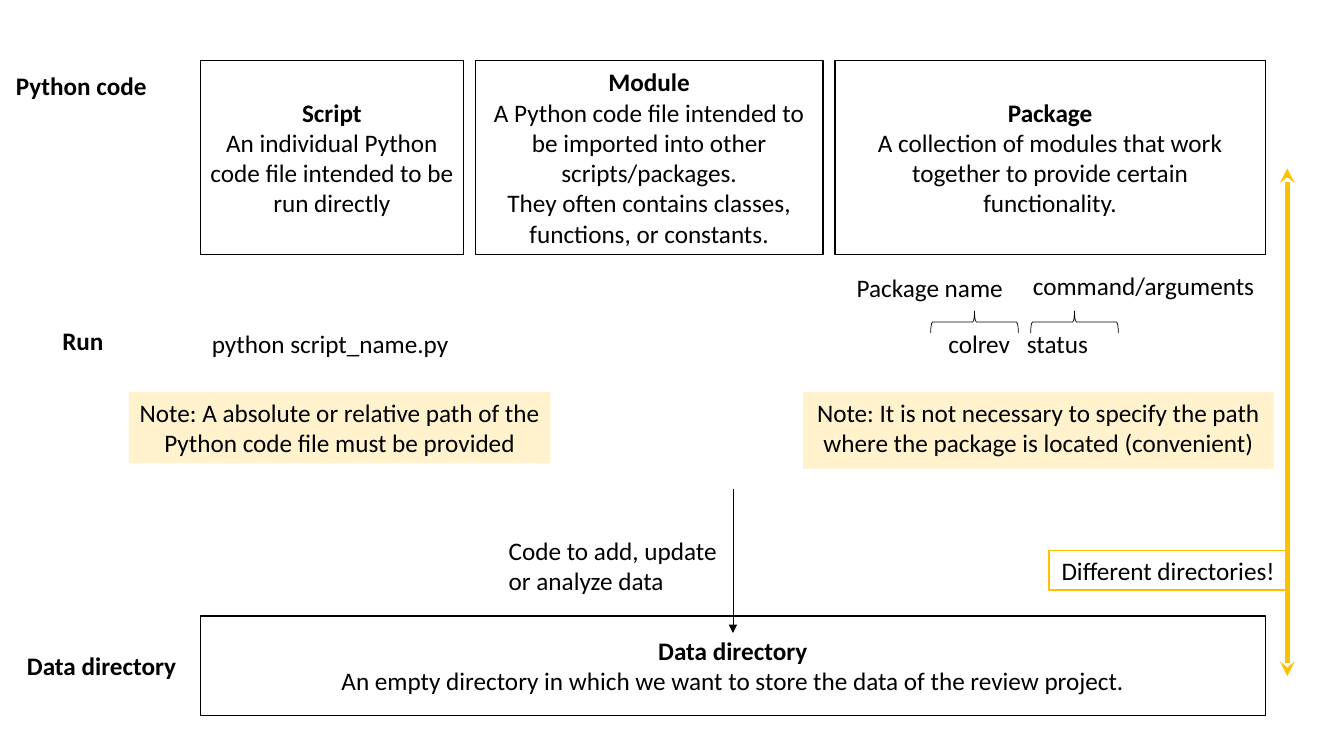
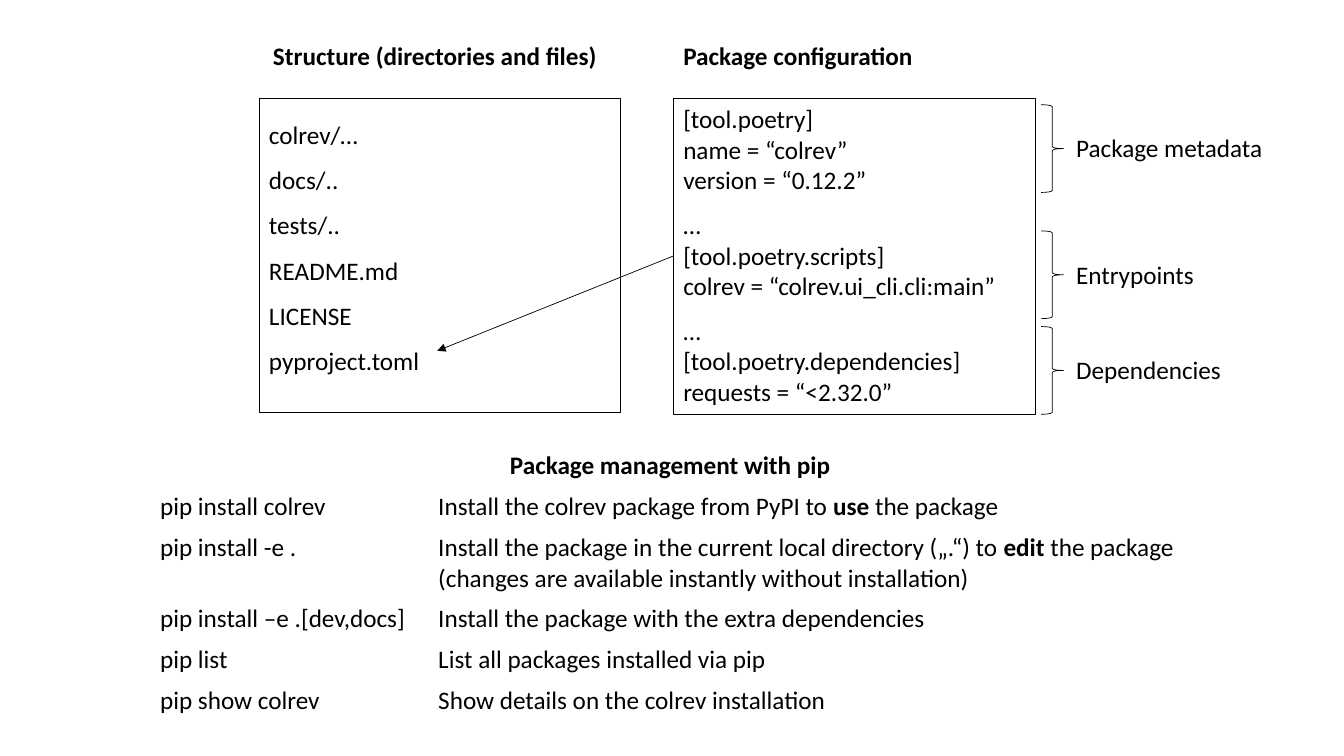
from lxml import etree
from pptx import Presentation
from pptx.dml.color import RGBColor
from pptx.enum import shapes, text
from pptx.oxml import ns
from pptx.util import Cm, Pt

# Shared look
FONT, SIZE = "Calibri", 18
BLACK, WHITE, CREAM, AMBER = "000000", "FFFFFF", "FFF2CC", "FFC000"
LEFT, CENTER = text.PP_ALIGN.LEFT, text.PP_ALIGN.CENTER
TOP, MIDDLE = text.MSO_ANCHOR.TOP, text.MSO_ANCHOR.MIDDLE
BRACE_DEPTH, BRACE_SPAN = 0.56, 2.21


def rgb(color):
    return RGBColor.from_string(color)


def write(frame, lines, align=LEFT, spacing=None):
    """Write one paragraph per line; words between bars are bold."""
    frame.word_wrap = True
    for number, line in enumerate(lines):
        paragraph = frame.paragraphs[0] if number == 0 else frame.add_paragraph()
        paragraph.alignment = align
        if spacing:
            paragraph.line_spacing = spacing(line)
        font = paragraph.font
        font.name, font.size, font.color.rgb = FONT, Pt(SIZE), rgb(BLACK)
        for position, words in enumerate(line.split("|")):
            if words:
                run = paragraph.add_run()
                run.text = words
                if position % 2:
                    run.font.bold = True


def add_label(slide, left, top, width, words, align=LEFT):
    label = slide.shapes.add_textbox(Cm(left), Cm(top), Cm(width), Cm(1.03))
    write(label.text_frame, [words], align)


def add_outline(slide, preset, left, top, width, height, fill, line, weight):
    outline = slide.shapes.add_shape(preset, Cm(left), Cm(top), Cm(width), Cm(height))
    outline.shadow.inherit = False
    if fill:
        outline.fill.solid()
        outline.fill.fore_color.rgb = rgb(fill)
    else:
        outline.fill.background()
    if line:
        outline.line.color.rgb = rgb(line)
        outline.line.width = Pt(weight)
    else:
        outline.line.fill.background()
    return outline


def add_box(slide, left, top, width, height, lines, fill=WHITE, line=BLACK,
            weight=1, align=CENTER, anchor=MIDDLE, spacing=None):
    box = add_outline(slide, shapes.MSO_SHAPE.RECTANGLE, left, top, width, height,
                      fill, line, weight)
    box.text_frame.vertical_anchor = anchor
    write(box.text_frame, lines, align, spacing)


def add_note(slide, left, width, height, words):
    add_box(slide, left, 9.88, width, height, [words], CREAM, None, anchor=TOP)


def add_brace(slide, left, top, rotation=0):
    brace = add_outline(slide, shapes.MSO_SHAPE.RIGHT_BRACE, left, top,
                        BRACE_DEPTH, BRACE_SPAN, None, BLACK, 0.5)
    brace.rotation = rotation


def add_arrow(slide, start, end, color=BLACK, weight=0.5, **heads):
    arrow = slide.shapes.add_connector(
        shapes.MSO_CONNECTOR.STRAIGHT, *(Cm(value) for value in start + end))
    arrow.line.color.rgb = rgb(color)
    arrow.line.width = Pt(weight)
    properties = arrow.line._get_or_add_ln()
    for tag in ("headEnd", "tailEnd"):
        if tag in heads:
            etree.SubElement(properties, ns.qn("a:" + tag), type=heads[tag])
    etree.SubElement(arrow._element.spPr, ns.qn("a:effectLst"))


def add_commands(slide, left, top, widths, row_height, rows):
    table = slide.shapes.add_table(len(rows), len(widths), Cm(left), Cm(top),
                                   Cm(sum(widths)), Cm(row_height * len(rows))).table
    table.first_row = table.horz_banding = False
    for column, width in zip(table.columns, widths):
        column.width = Cm(width)
    for row, entries in zip(table.rows, rows):
        for cell, entry in zip(row.cells, entries):
            cell.fill.background()
            write(cell.text_frame, [entry])


def build_code_overview(slide):
    # Kinds of Python code
    start, gap = 5.05, 0.3
    kinds = [
        (6.63, ["|Script|", "An individual Python code file intended to be run directly"]),
        (8.76, ["|Module|",
                "A Python code file intended to be imported into other scripts/packages.",
                "They often contains classes, functions, or constants."]),
        (10.85, ["|Package|", "A collection of modules that work together to provide "
                              "certain functionality."]),
    ]
    left = start
    for width, lines in kinds:
        add_box(slide, left, 1.52, width, 4.9, lines)
        left += width + gap
    full_width = left - gap - start

    # Row headings
    add_label(slide, 0.15, 1.65, 6, "|Python code|")
    add_label(slide, 1.32, 8.08, 1.88, "|Run|")
    add_label(slide, 0.43, 16.26, 4.42, "|Data directory|")

    # How to run them
    add_label(slide, 5.03, 8.15, 6.58, "python script_name.py", CENTER)
    add_label(slide, 23.65, 8.15, 2.2, "colrev")
    add_label(slide, 25.63, 8.15, 3, "status")
    for brace_left in (24.28, 26.8):
        add_brace(slide, brace_left, 7.01, 270)
    add_label(slide, 21.34, 6.73, 4.5, "Package name")
    add_label(slide, 25.78, 6.68, 6.58, "command/arguments")
    add_note(slide, 3.25, 10.62, 1.8, "Note: A absolute or relative path of the "
                                      "Python code file must be provided")
    add_note(slide, 20.24, 11.86, 1.93, "Note: It is not necessary to specify the path "
                                        "where the package is located (convenient)")

    # Data directory
    add_box(slide, start, 15.52, full_width, 2.51,
            ["|Data directory|", "An empty directory in which we want to store "
                                 "the data of the review project."])
    add_arrow(slide, (18.47, 12.32), (18.47, 15.95), tailEnd="triangle")
    add_label(slide, 12.57, 13.36, 6, "Code to add, update or analyze data")

    # Separation of code and data
    add_box(slide, 26.44, 13.87, 6, 1, ["Different directories!"], line=AMBER)
    add_arrow(slide, (32.44, 4.24), (32.44, 17.04), AMBER, 3.5,
              headEnd="stealth", tailEnd="stealth")


def build_package_overview(slide):
    # Directory structure
    add_label(slide, 6.63, 0.89, 8.76, "|Structure (directories and files)|")
    add_box(slide, 6.53, 2.49, 9.12, 7.9,
            ["colrev/…", "docs/..", "tests/..", "README.md", "LICENSE", "pyproject.toml"],
            None, weight=0.75, align=LEFT, anchor=TOP, spacing=lambda line: 1.5)

    # Configuration file
    add_label(slide, 16.97, 0.89, 8.76, "|Package configuration|")
    add_box(slide, 16.97, 2.49, 9.12, 7.95,
            ["[tool.poetry]", "name = “colrev”", "version = “0.12.2”", "…",
             "[tool.poetry.scripts]", "colrev = “colrev.ui_cli.cli:main”", "…",
             "[tool.poetry.dependencies]", "requests = “<2.32.0”"],
            None, weight=0.75, align=LEFT, anchor=TOP,
            spacing=lambda line: 1.5 if line == "…" else 1.0)
    add_arrow(slide, (16.97, 6.45), (11.02, 8.84), tailEnd="triangle")

    # Parts of the configuration
    for top, part in ((2.64, "Package metadata"), (5.82, "Entrypoints"),
                      (8.23, "Dependencies")):
        add_brace(slide, 26.24, top)
        add_label(slide, 26.87, top + 0.58, 6.9, part)

    # Commands
    add_label(slide, 12.24, 11.2, 9.3, "|Package management with pip|", CENTER)
    add_commands(slide, 3.78, 12.27, (7.01, 19.2), 1.03, [
        ("pip install colrev", "Install the colrev package from PyPI to |use| the package"),
        ("pip install -e .", "Install the package in the current local directory („.“) to "
                             "|edit| the package (changes are available instantly "
                             "without installation)"),
        ("pip install –e .[dev,docs]", "Install the package with the extra dependencies"),
        ("pip list", "List all packages installed via pip"),
        ("pip show colrev", "Show details on the colrev installation"),
    ])


def main():
    deck = Presentation()
    deck.slide_width, deck.slide_height = Cm(33.87), Cm(19.05)
    blank = deck.slide_layouts[6]
    for build in (build_code_overview, build_package_overview):
        build(deck.slides.add_slide(blank))
    deck.save("out.pptx")


if __name__ == "__main__":
    main()
